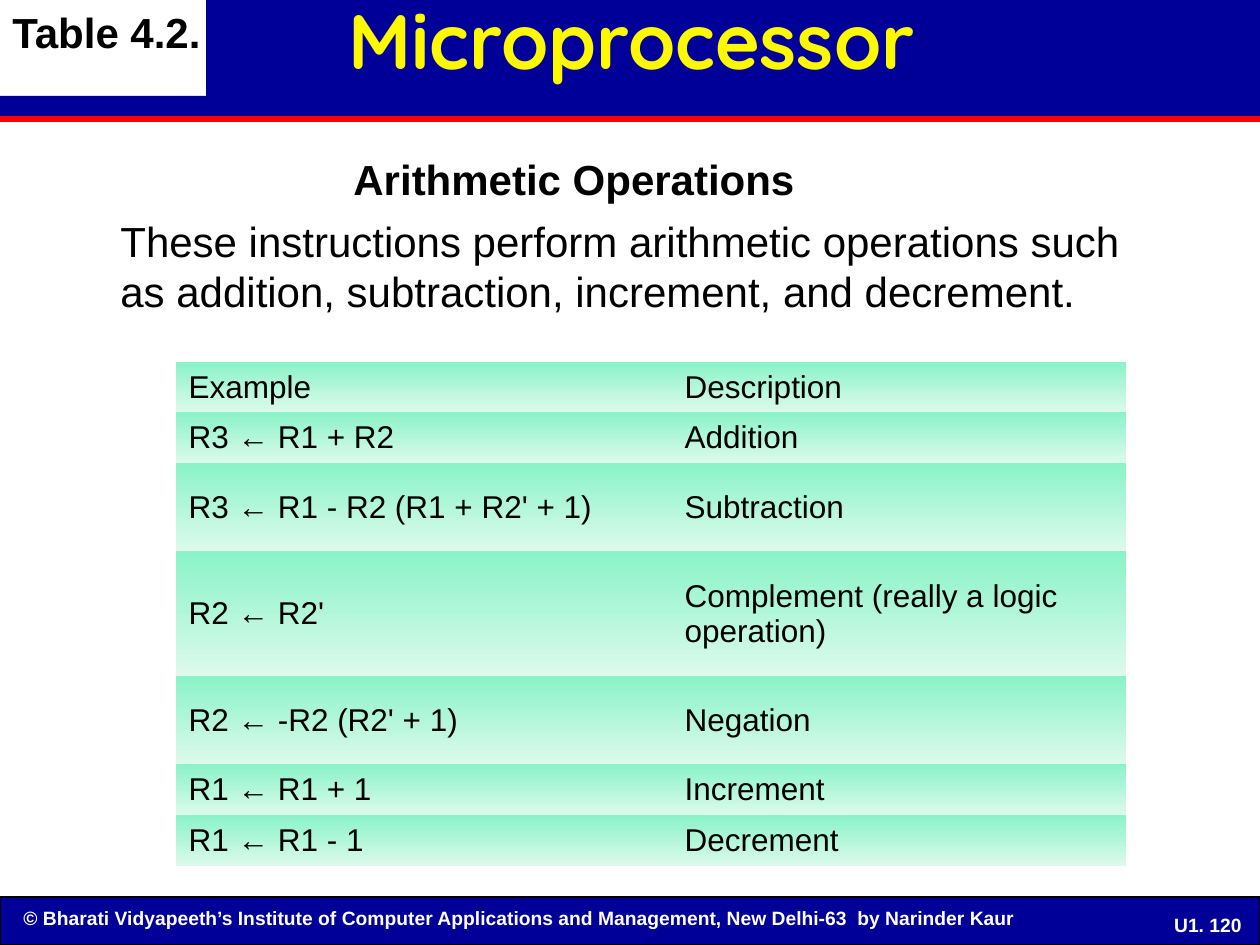
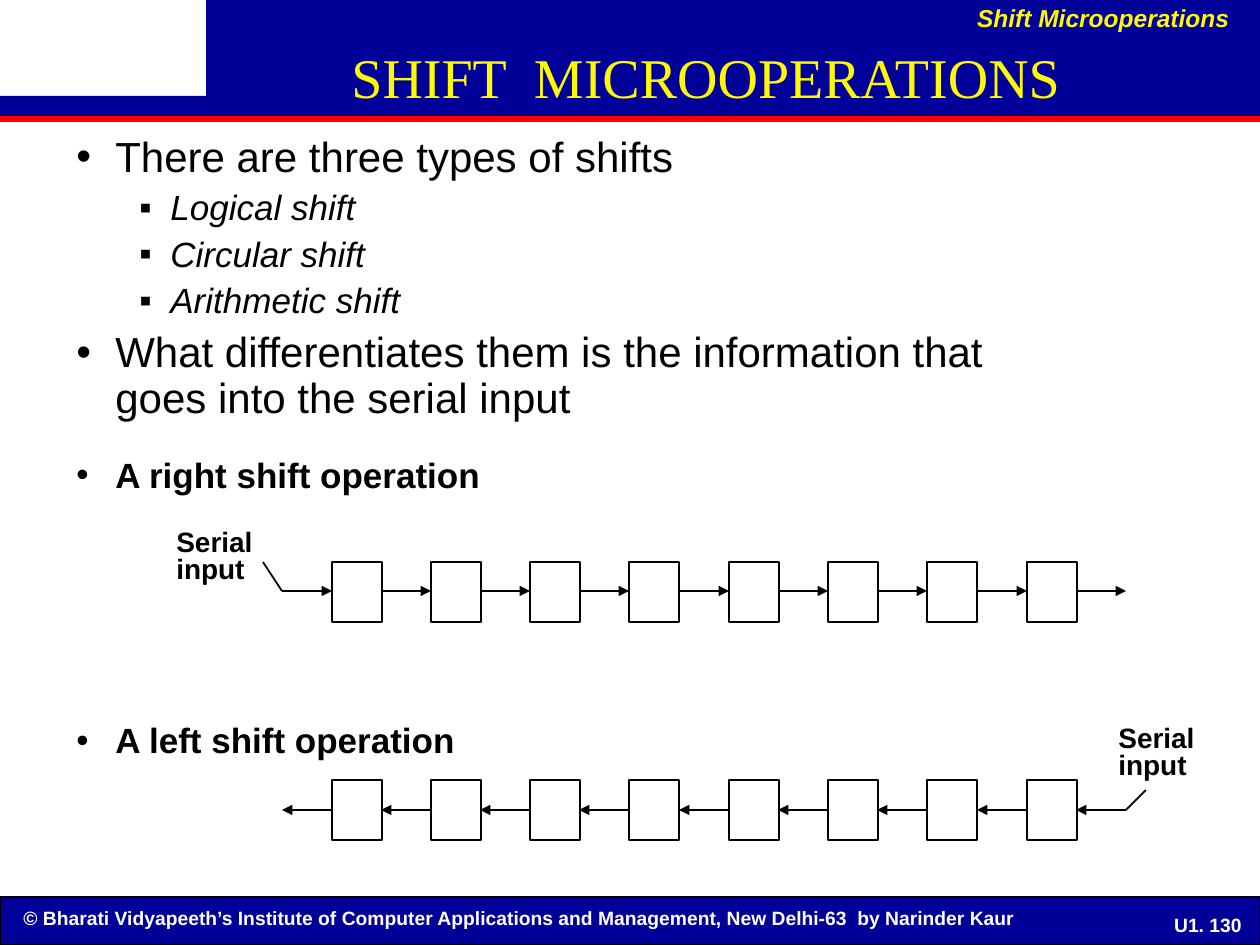
import pptx
import pptx.util
from pptx.dml.color import RGBColor
from pptx.enum.shapes import MSO_CONNECTOR, MSO_SHAPE
from pptx.enum.text import MSO_ANCHOR, MSO_AUTO_SIZE, PP_ALIGN
from pptx.oxml.ns import qn
from lxml import etree

SCALE = 914400 / 126
COLORS = {
    "navy": "000099",
    "red": "FF0000",
    "yellow": "FEF800",
    "white": "FFFFFF",
    "black": "000000",
    "mint": "8AF3C7",
    "pale": "DDFAED",
}
HUES = {name: RGBColor.from_string(code) for name, code in COLORS.items()}
FOOTER = ("© Bharati Vidyapeeth’s Institute of Computer Applications and "
          "Management, New Delhi-63  by Narinder Kaur")


def px(*sizes):
    """Turn pixel lengths into EMU."""
    return [pptx.util.Emu(round(size * SCALE)) for size in sizes]


def write(frame, text, size, hue="black", font="Arial", bold=False,
          slant=False, align=PP_ALIGN.LEFT, lead=1.0, wrap=True):
    """Fill a text frame and give all its runs one style."""
    frame.text = text
    frame.word_wrap = wrap
    for para in frame.paragraphs:
        para.alignment = align
        para.line_spacing = lead
        for run in para.runs:
            run.font.name = font
            run.font.size = pptx.util.Pt(size)
            run.font.bold = bold
            run.font.italic = slant
            run.font.color.rgb = HUES[hue]


deck = pptx.Presentation()
deck.slide_width, deck.slide_height = px(1260, 945)

# Bands, footer and title of both slides
bands = [
    ((0, 897, 1260, 48), "navy"),
    ((0, 116, 1260, 6), "red"),
    ((206, 0, 1054, 96), "navy"),
    ((0, 96, 1260, 20), "navy"),
]
heads = [
    ("Microprocessor", (334, 0, 596, 90), 44, "Quicksand", True, 0.88, "U1. 120"),
    ("SHIFT  MICROOPERATIONS", (206, 38, 1000, 76), 32, "Times New Roman",
     False, 1.0, "U1. 130"),
]
for text, place, size, font, bold, lead, page in heads:
    slide = deck.slides.add_slide(deck.slide_layouts[5])
    for spot, hue in bands:
        band = slide.shapes.add_shape(MSO_SHAPE.RECTANGLE, *px(*spot))
        band.shadow.inherit = False
        band.fill.solid()
        band.fill.fore_color.rgb = HUES[hue]
        if spot[1] == 897:
            band.line.color.rgb = HUES["black"]
            band.line.width = pptx.util.Pt(0.75)
        else:
            band.line.fill.background()

    note = slide.shapes.add_textbox(*px(11, 900, 1157, 37))
    write(note.text_frame, FOOTER, 11, "white", bold=True)
    num = slide.shapes.add_textbox(*px(1150, 913, 116, 23))
    write(num.text_frame, page, 11, "white", bold=True, align=PP_ALIGN.CENTER)
    num.text_frame.vertical_anchor = MSO_ANCHOR.MIDDLE

    title = slide.shapes.title
    title.left, title.top, title.width, title.height = px(*place)
    frame = title.text_frame
    write(frame, text, size, "yellow", font, bold,
          align=PP_ALIGN.CENTER, lead=lead)
    frame.auto_size = MSO_AUTO_SIZE.NONE
    frame.vertical_anchor = MSO_ANCHOR.TOP
    frame.margin_left, frame.margin_right = px(9, 9)
    frame.margin_top, frame.margin_bottom = px(4, 4)
    title.element.getparent().append(title.element)  # in front of the bands

first, second = deck.slides

# Slide 1: arithmetic operations
label = first.shapes.add_textbox(*px(0, 0, 240, 60))
write(label.text_frame, "Table 4.2.", 24, bold=True, wrap=False)
topic = first.shapes.add_textbox(*px(341, 147, 500, 63))
write(topic.text_frame, "Arithmetic Operations", 24, bold=True)
intro = first.shapes.add_textbox(*px(108, 209, 1055, 113))
write(intro.text_frame, "These instructions perform arithmetic operations such "
      "as addition, subtraction, increment, and decrement.", 24)

rows = [
    ("Example", "Description", 50),
    ("R3 ← R1 + R2", "Addition", 51),
    ("R3 ← R1 - R2 (R1 + R2' + 1)", "Subtraction", 88),
    ("R2 ← R2'", "Complement (really a logic operation)", 125),
    ("R2 ← -R2 (R2' + 1)", "Negation", 88),
    ("R1 ← R1 + 1", "Increment", 51),
    ("R1 ← R1 - 1", "Decrement", 51),
]
grid = first.shapes.add_table(len(rows), 2, *px(176, 362, 950, 504))
for tag in grid.element.iter(qn("a:tableStyleId")):
    tag.text = "{2D5ABB26-0587-4C30-8999-92F81FD0307C}"  # no style, no grid
table = grid.table
table.first_row = table.horz_banding = False
for col, width in zip(table.columns, px(496, 454)):
    col.width = width
for row, (*texts, height) in zip(table.rows, rows):
    row.height = px(height)[0]
    for cell, text in zip(row.cells, texts):
        write(cell.text_frame, text, 18)
        cell.vertical_anchor = MSO_ANCHOR.MIDDLE
        cell.fill.gradient()
        cell.fill.gradient_angle = 270
        for stop, hue in zip(cell.fill.gradient_stops, ("mint", "pale")):
            stop.color.rgb = HUES[hue]

# Slide 2: shift microoperations
topic = second.shapes.add_textbox(*px(902, 0, 340, 39))
write(topic.text_frame, "Shift Microoperations", 14, "yellow", bold=True,
      slant=True, align=PP_ALIGN.RIGHT, lead=0.9)

# Bullet kinds: sign, left margin, hang, size, bold, italic, space before
kinds = {
    "main": ("•", 39, 39, 24, False, False, 6),
    "sub": ("▪", 94, 31, 20, False, True, 5),
    "case": ("•", 39, 39, 20, True, False, 130),
}
lists = [
    ((64, 130, 1021, 326), [
        ("main", "There are three types of shifts"),
        ("sub", "Logical shift"),
        ("sub", "Circular shift"),
        ("sub", "Arithmetic shift"),
        ("main", "What differentiates them is the information that "
                 "goes into the serial input"),
    ]),
    ((64, 452, 630, 315), [
        ("case", "A right shift operation"),
        ("case", "A left shift operation"),
    ]),
]
for place, items in lists:
    frame = second.shapes.add_textbox(*px(*place)).text_frame
    write(frame, "\n".join(text for kind, text in items), 24, lead=0.9)
    for i, (para, (kind, text)) in enumerate(zip(frame.paragraphs, items)):
        sign, left, hang, size, bold, slant, gap = kinds[kind]
        props = para._p.get_or_add_pPr()
        left, hang = px(left, hang)
        props.set("marL", str(left))
        props.set("indent", str(-hang))
        tint = etree.SubElement(props, qn("a:buClr"))
        etree.SubElement(tint, qn("a:srgbClr")).set("val", COLORS["black"])
        etree.SubElement(props, qn("a:buFont")).set("typeface", "Arial")
        etree.SubElement(props, qn("a:buChar")).set("char", sign)
        if i:
            para.space_before = pptx.util.Pt(gap)
        for run in para.runs:
            run.font.size = pptx.util.Pt(size)
            run.font.bold = bold
            run.font.italic = slant

# Registers: cell top, arrow height, shift to the right, input lead, label place
BITS, SIDE, START, SPAN = 8, 50, 332, 695
shifts = [
    (562, 591, True, (282, 591, 263, 562), (164, 525, 110, 67)),
    (780, 810, False, (1126, 810, 1146, 790), (1106, 721, 110, 67)),
]
for top, mid, right, lead, place in shifts:
    lines = [(lead, False)]
    for i in range(BITS + 1):
        x = START + SPAN * i // (BITS - 1)
        ends = (x - SIDE, x) if right else (x, x - SIDE)
        lines.append(((ends[0], mid, ends[1], mid), True))
        if i < BITS:
            bit = second.shapes.add_shape(MSO_SHAPE.RECTANGLE,
                                          *px(x, top, SIDE, 60))
            bit.shadow.inherit = False
            bit.fill.background()
            bit.line.color.rgb = HUES["black"]
            bit.line.width = pptx.util.Pt(1)
    for ends, tip in lines:
        wire = second.shapes.add_connector(MSO_CONNECTOR.STRAIGHT, *px(*ends))
        wire.line.color.rgb = HUES["black"]
        wire.line.width = pptx.util.Pt(1)
        props = wire.element.spPr
        if tip:
            stroke = props.find(qn("a:ln"))
            etree.SubElement(stroke, qn("a:tailEnd")).set("type", "triangle")
        etree.SubElement(props, qn("a:effectLst"))
    label = second.shapes.add_textbox(*px(*place))
    write(label.text_frame, "Serial\ninput", 16, bold=True, lead=0.8)

deck.save("out.pptx")
